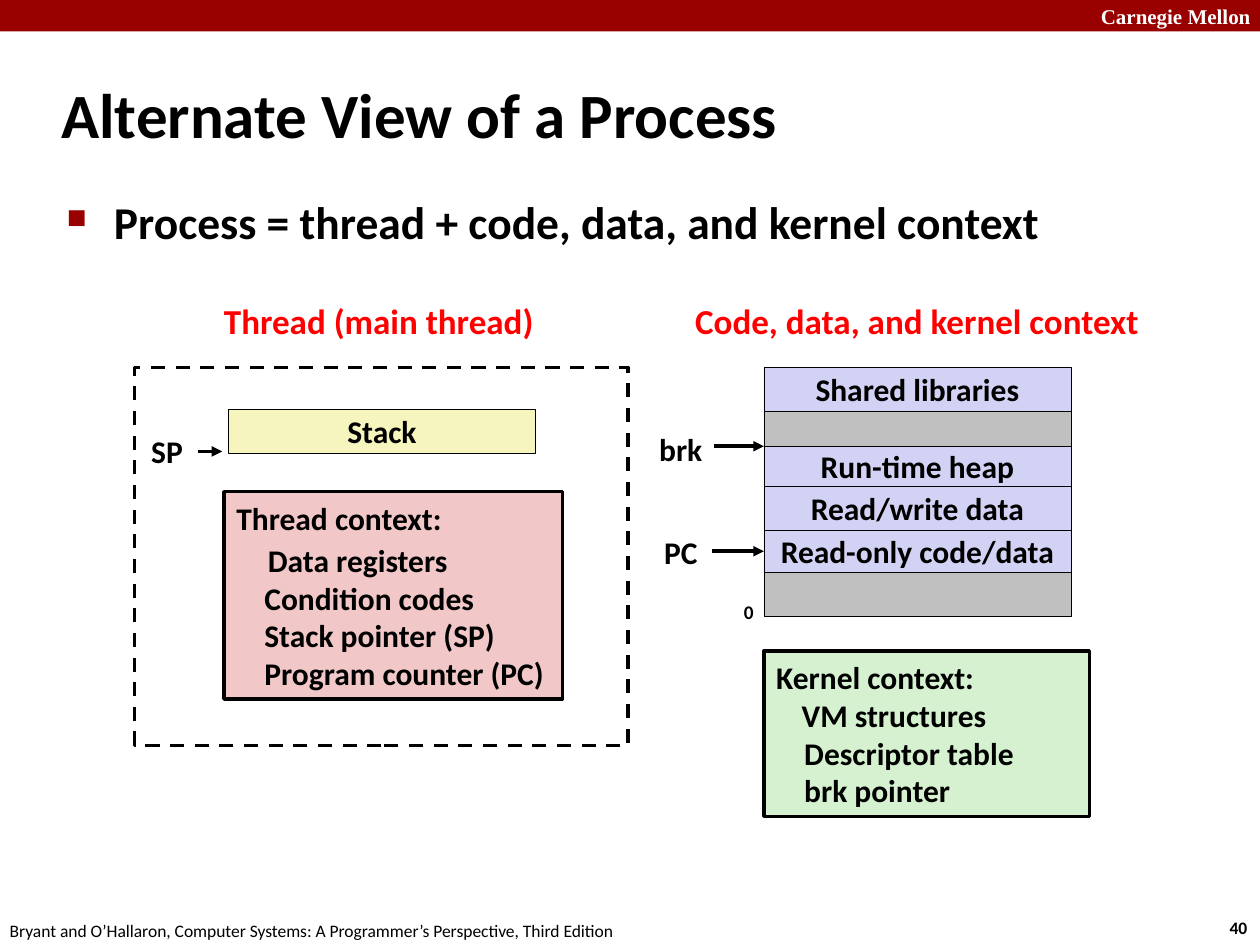
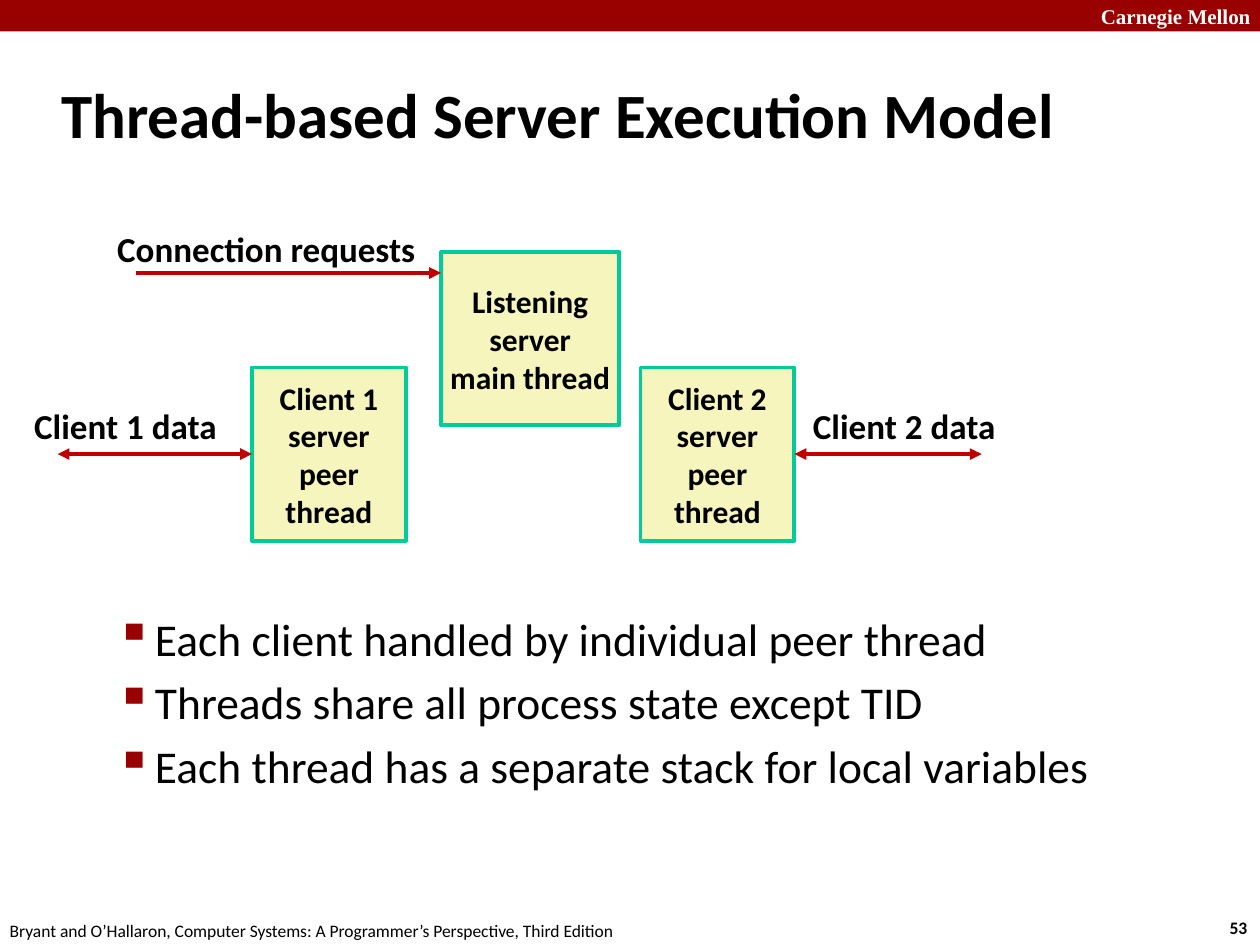
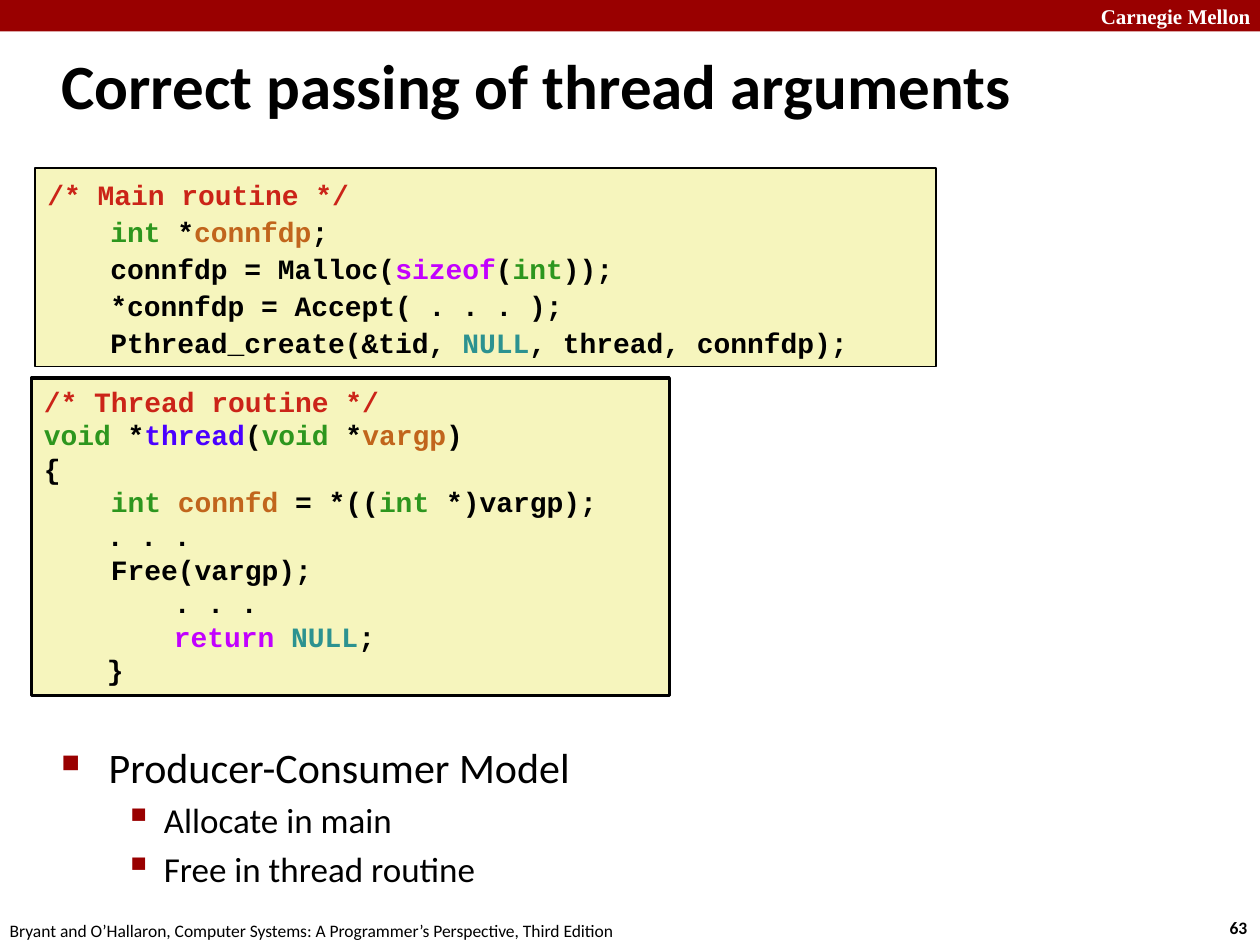
from dataclasses import dataclass

from lxml.etree import SubElement
from pptx import Presentation
from pptx.dml.color import RGBColor
from pptx.enum.dml import MSO_LINE
from pptx.enum.shapes import MSO_CONNECTOR, MSO_SHAPE
from pptx.enum.text import MSO_ANCHOR as ANCHOR, PP_ALIGN as ALIGN
from pptx.oxml.ns import qn
from pptx.util import Pt


@dataclass(frozen=True)
class Theme:
    font: str = "Calibri"
    code_font: str = "Courier New"
    header_font: str = "Times New Roman"
    black: str = "000000"
    white: str = "FFFFFF"
    crimson: str = "990000"
    heading: str = "FF0000"
    arrow: str = "C00000"
    teal: str = "00CC99"
    yellow: str = "F6F5BD"
    lilac: str = "D2D2F4"
    gray: str = "C0C0C0"
    pink: str = "F1C7C7"
    green: str = "D5F1CF"
    comment: str = "CB2418"
    kind: str = "2D961E"
    variable: str = "C1651C"
    keyword: str = "C200FF"
    constant: str = "2C9290"
    function: str = "4A00FF"
    title_size: int = 36
    body_size: int = 26
    label_size: int = 20
    box_size: int = 18
    code_size: int = 16
    header_size: int = 12
    small_size: int = 11
    footer_size: int = 10


T = Theme()
FOOTER = ("Bryant and O’Hallaron, Computer Systems: "
          "A Programmer’s Perspective, Third Edition")


def rgb(color):
    return RGBColor.from_string(color)


def add_bullet(p, char, percent):
    pPr = p._p.get_or_add_pPr()
    SubElement(SubElement(pPr, qn("a:buClr")), qn("a:srgbClr")).set("val", T.crimson)
    SubElement(pPr, qn("a:buSzPct")).set("val", str(percent * 1000))
    SubElement(pPr, qn("a:buChar")).set("char", char)


def add_text(tf, text, size=T.box_size, color=T.black, bold=True, font=T.font,
             align=ALIGN.LEFT, left=0, hang=0, before=0, spacing=None, bullet=None):
    """Add one paragraph; text is a string or a list of strings and (string, color)."""
    p = tf.paragraphs[-1]
    if p.runs:
        p = tf.add_paragraph()
    pPr = p._p.get_or_add_pPr()
    pPr.set("marL", str(Pt(left)))
    pPr.set("indent", str(Pt(-hang)))
    if bullet:
        add_bullet(p, *bullet)
    p.alignment = align
    if before:
        p.space_before = Pt(before)
    if spacing:
        p.line_spacing = spacing
    for part in [text] if isinstance(text, str) else text:
        run_text, run_color = (part, color) if isinstance(part, str) else part
        r = p.add_run()
        r.text = run_text
        r.font.size, r.font.bold, r.font.name = Pt(size), bold, font
        r.font.color.rgb = rgb(run_color)


class Deck:
    def __init__(self):
        self.prs = Presentation()
        self.prs.slide_width, self.prs.slide_height = Pt(720), Pt(540)
        self.s = None

    def slide(self, title, number, title_y=34.5):
        self.s = self.prs.slides.add_slide(self.prs.slide_layouts[6])
        self.rect(0, 0, 720, 18, fill=T.crimson, line=None)
        self.text(622, -2, 103, 22, "Carnegie Mellon", size=T.header_size,
                  color=T.white, font=T.header_font)
        self.text(695.5, 520.5, 27, 19.5, str(number), size=T.footer_size)
        self.text(-1.5, 522, 366, 19.5, FOOTER, size=T.footer_size, bold=False)
        self.text(28, title_y, 598, 60, title, size=T.title_size, left=9.4, hang=9.4)

    def frame(self, sp, anchor=ANCHOR.MIDDLE, wrap=False):
        tf = sp.text_frame
        tf.word_wrap, tf.vertical_anchor = wrap, anchor
        return tf

    def text(self, x, y, w, h, text, **fmt):
        sp = self.s.shapes.add_textbox(Pt(x), Pt(y), Pt(w), Pt(h))
        add_text(self.frame(sp), text, **fmt)

    def label(self, x, y, w, text, size=T.box_size, color=T.black, align=ALIGN.CENTER):
        self.text(x, y, w, size * 1.6, text, size=size, color=color, align=align)

    def bullets(self, x, y, w, h, items):
        """Add a bulleted list of (level, text, size, bold)."""
        sp = self.s.shapes.add_textbox(Pt(x), Pt(y), Pt(w), Pt(h))
        tf = self.frame(sp, ANCHOR.TOP, wrap=True)
        levels = ((27, 27, ("■", 60)), (58.5, 22.5, ("▪", 110)))
        for i, (level, text, size, bold) in enumerate(items):
            left, hang, bullet = levels[level]
            add_text(tf, text, size=size, bold=bold, left=left, hang=hang,
                     bullet=bullet, before=0.2 * size if i else 0)

    def rect(self, x, y, w, h, lines=(), fill=None, line=T.black, weight=0.25,
             dash=None, anchor=ANCHOR.MIDDLE, **fmt):
        """Add a rectangle; a line of text may be a (text, format) pair."""
        sp = self.s.shapes.add_shape(MSO_SHAPE.RECTANGLE, Pt(x), Pt(y), Pt(w), Pt(h))
        sp.shadow.inherit = False
        if fill:
            sp.fill.solid()
            sp.fill.fore_color.rgb = rgb(fill)
        else:
            sp.fill.background()
        if line:
            sp.line.color.rgb = rgb(line)
            sp.line.width = Pt(weight)
            sp.line.dash_style = dash
        else:
            sp.line.fill.background()
        tf = self.frame(sp, anchor)
        for item in lines:
            text, extra = item if isinstance(item, tuple) else (item, {})
            add_text(tf, text, **{**fmt, **extra})
        return sp

    def code(self, x, y, w, h, lines, weight, spacing=None):
        self.rect(x, y, w, h, lines, fill=T.yellow, weight=weight, anchor=ANCHOR.TOP,
                  size=T.code_size, font=T.code_font, spacing=spacing)

    def arrow(self, x1, x2, y, color=T.black, weight=2, both=False, join=None):
        """Add a level arrow; join is the (shape, side) it ends at."""
        c = self.s.shapes.add_connector(MSO_CONNECTOR.STRAIGHT,
                                        Pt(x1), Pt(y), Pt(x2), Pt(y))
        if join:
            c.end_connect(*join)
        c.line.color.rgb, c.line.width = rgb(color), Pt(weight)
        ln = c.line._get_or_add_ln()
        for end in ("headEnd", "tailEnd") if both else ("tailEnd",):
            SubElement(ln, qn(f"a:{end}")).set("type", "triangle")
        SubElement(c._element.spPr, qn("a:effectLst"))


def process_slide(deck):
    deck.slide("Alternate View of a Process", 40)
    deck.bullets(31, 107.5, 622, 392, [
        (0, "Process = thread + code, data, and kernel context", T.body_size, True)])

    deck.label(119.5, 167, 194, "Thread (main thread)", T.label_size, T.heading)
    deck.rect(77, 210, 282, 216, weight=2, dash=MSO_LINE.DASH)
    deck.rect(130.5, 234, 175.5, 25, ["Stack"], fill=T.yellow, align=ALIGN.CENTER)
    deck.label(79, 243.5, 33, "SP")
    deck.arrow(113, 127, 258)
    item = {"left": 16}
    deck.rect(128, 281, 193.5, 118.5, [
        "Thread context:", ("Data registers", {"left": 18, "before": 2.4}),
        ("Condition codes", item), ("Stack pointer (SP)", item),
        ("Program counter (PC)", item)], fill=T.pink, weight=2)

    deck.label(386, 167, 276, "Code, data, and kernel context", T.label_size, T.heading)
    memory_x, y = 436.5, 210
    regions = {}
    for name, height in (("Shared libraries", 25), ("", 20), ("Run-time heap", 23),
                         ("Read/write data", 25), ("Read-only code/data", 24), ("", 25)):
        regions[name] = deck.rect(memory_x, y, 175.5, height, [name] if name else [],
                                  fill=T.lilac if name else T.gray, align=ALIGN.CENTER)
        y += height
    deck.label(369, 242, 40, "brk")
    deck.arrow(408, memory_x, 255)
    deck.label(372, 301, 34, "PC")
    deck.arrow(407, memory_x, 315, join=(regions["Read-only code/data"], 1))
    deck.text(418, 339, 20, 21, "0", size=T.small_size)
    deck.rect(memory_x, 372, 186, 94.5, [
        "Kernel context:", ("VM structures", {"left": 14.5}),
        ("Descriptor table", item), ("brk pointer", item)], fill=T.green, weight=2)


def server_slide(deck):
    deck.slide("Thread-based Server Execution Model", 53)
    deck.bullets(23, 345.5, 654, 160, [(1, text, T.body_size, False) for text in (
        "Each client handled by individual peer thread",
        "Threads share all process state except TID",
        "Each thread has a separate stack for local variables")])

    box = dict(fill=T.yellow, line=T.teal, weight=2.25, align=ALIGN.CENTER)
    link = dict(color=T.arrow, weight=2.25)
    deck.rect(252, 144, 102, 99, ["Listening", "server", "main thread"], **box)
    deck.label(57.5, 126, 187, "Connection requests", T.label_size, align=ALIGN.RIGHT)
    deck.arrow(78, 252, 156, **link)

    for n, box_x, side, edge_x, far_x, label_x in ((1, 144, 1, 144, 33, 11),
                                                   (2, 366, 3, 454, 561, 456)):
        peer = deck.rect(box_x, 210, 88, 99,
                         [f"Client {n}", "server", "peer", "thread"], **box)
        deck.arrow(far_x, edge_x, 259.5, both=True, join=(peer, side), **link)
        deck.label(label_x, 227, 120, f"Client {n} data", T.label_size, align=ALIGN.RIGHT)


def arguments_slide(deck):
    deck.slide("Correct passing of thread arguments", 63, title_y=18)
    kind_int, null = ("int", T.kind), ("NULL", T.constant)
    deck.code(20, 96, 515, 113.5, [
        [("/* Main routine */", T.comment)],
        ["\t", kind_int, " *", ("connfdp", T.variable), ";"],
        ["\tconnfdp = Malloc(", ("sizeof", T.keyword), "(", kind_int, "));"],
        "\t*connfdp = Accept( . . . );",
        ["\tPthread_create(&tid, ", null, ", thread, connfdp);"],
    ], weight=1, spacing=1.1)

    void, nested = ("void", T.kind), {"left": 36}
    deck.code(18, 216, 364.5, 181.5, [
        [("/* Thread routine */", T.comment)],
        [void, " *", ("thread", T.function), "(", void, " *", ("vargp", T.variable), ")"],
        "{",
        ["    ", ("int ", T.kind), ("connfd", T.variable), " = *((", kind_int, " *)vargp);"],
        "\t. . .",
        "    Free(vargp);",
        ("    . . .", nested),
        (["    ", ("return ", T.keyword), null, ";"], nested),
        ("}", nested),
    ], weight=2)

    deck.bullets(28, 420, 654, 104, [(0, "Producer-Consumer Model", 24, False),
                                     (1, "Allocate in main", T.label_size, False),
                                     (1, "Free in thread routine", T.label_size, False)])


def main():
    deck = Deck()
    process_slide(deck)
    server_slide(deck)
    arguments_slide(deck)
    deck.prs.save("out.pptx")


if __name__ == "__main__":
    main()
